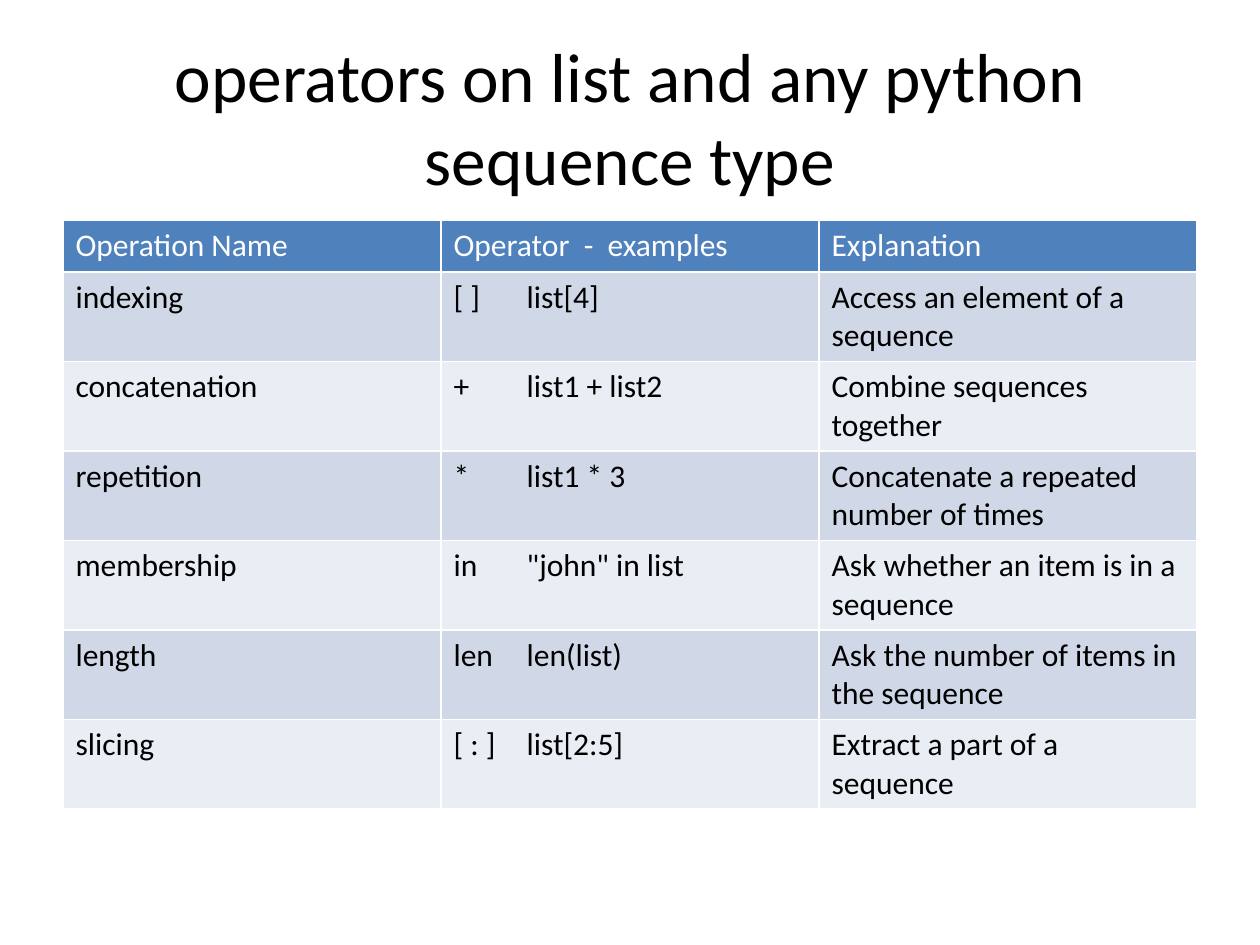
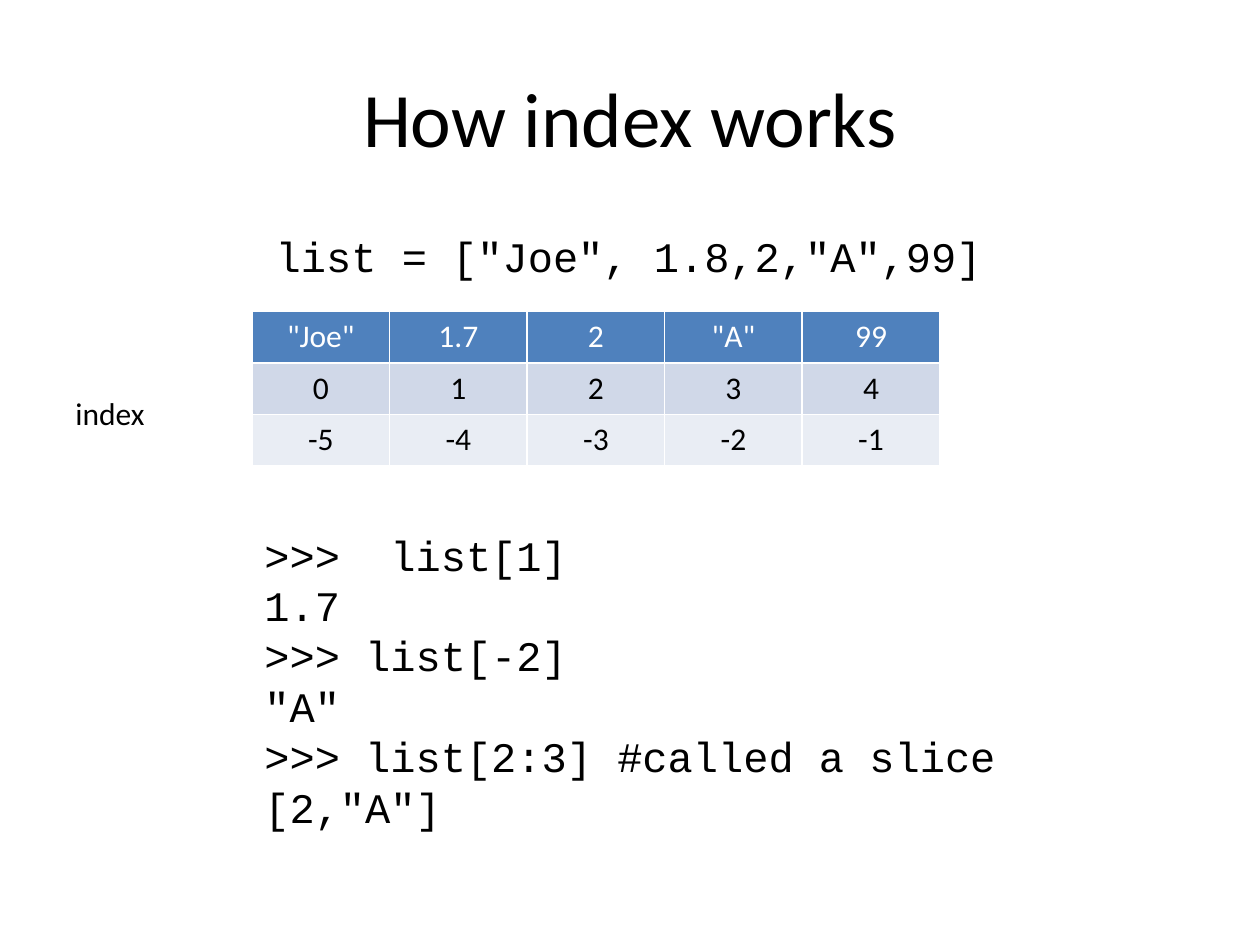
from pptx import Presentation
from pptx import util as u
from pptx.dml.color import RGBColor
from pptx.enum import text
from pptx.oxml import parse_xml
from pptx.oxml.ns import nsdecls

# Content
OPS_TITLE = "operators on list and any python sequence type"
OPS = [
    ("Operation Name", "Operator  -  examples", "Explanation"),
    ("indexing", "[ ]\tlist[4]", "Access an element of a sequence"),
    ("concatenation", "+\tlist1 + list2", "Combine sequences together"),
    ("repetition", "*\tlist1 * 3", "Concatenate a repeated number of times"),
    ("membership", "in\t\"john\" in list", "Ask whether an item is in a sequence"),
    ("length", "len\tlen(list)", "Ask the number of items in the sequence"),
    ("slicing", "[ : ]\tlist[2:5]", "Extract a part of a sequence"),
]

INDEX_TITLE = "How index works"
ITEMS = ['"Joe"', "1.7", "2", '"A"', "99"]
COUNT = len(ITEMS)
INDEX = [ITEMS, [str(i) for i in range(COUNT)],
         [str(i - COUNT) for i in range(COUNT)]]
SETUP = ['list = ["Joe", 1.8,2,"A",99]']
LABEL = ["index"]
SHELL = [">>>  list[1]", "1.7", ">>> list[-2]", '"A"',
         ">>> list[2:3] #called a slice", '[2,"A"]']


# Look of the deck
class Theme:
    ink, white = "000000", "FFFFFF"
    head, bands = "4F81BD", ("D0D8E8", "E9EDF4")
    title = {"name": "Calibri", "size": 44, "color": ink}
    long = {**title, "size": 39.6}
    body = {**title, "size": 18, "bold": False}
    top = {**body, "color": white}
    code = {"name": "Courier New", "size": 24, "color": ink}
    line, tall = 0.41, 0.71
    tab = 0.58


LEFT, CENTER = text.PP_ALIGN.LEFT, text.PP_ALIGN.CENTER


def style(para, fmt, align):
    para.alignment = align
    for key, val in fmt.items():
        if key == "color":
            para.font.color.rgb = RGBColor.from_string(val)
        else:
            setattr(para.font, key, u.Pt(val) if key == "size" else val)


def add_text(slide, lines, box, fmt, align=LEFT, **frame):
    tf = slide.shapes.add_textbox(*map(u.Inches, box)).text_frame
    for key, val in frame.items():
        setattr(tf, key, val)
    tf.text = "\n".join(lines)
    for para in tf.paragraphs:
        style(para, fmt, align)


def add_slide(deck, title, fmt):
    slide = deck.slides.add_slide(deck.slide_layouts[6])
    add_text(slide, [title], (0.5, 0.3, 9, 1.25), fmt, CENTER,
             word_wrap=True, vertical_anchor=text.MSO_ANCHOR.MIDDLE)
    return slide


def set_tab(para):
    # Line up the text after a tab
    stop = parse_xml(f'<a:tabLst {nsdecls("a")}>'
                     f'<a:tab pos="{u.Inches(Theme.tab)}" algn="l"/></a:tabLst>')
    para._p.get_or_add_pPr().append(stop)


def add_grid(slide, data, left, top, width, row, align=LEFT):
    high = Theme.line + row * (len(data) - 1)
    box = map(u.Inches, (left, top, width, high))
    grid = slide.shapes.add_table(len(data), len(data[0]), *box).table
    for r, vals in enumerate(data):
        grid.rows[r].height = u.Inches(row if r else Theme.line)
        fill = Theme.bands[(r - 1) % 2] if r else Theme.head
        for c, val in enumerate(vals):
            cell = grid.cell(r, c)
            cell.text = val
            cell.fill.solid()
            cell.fill.fore_color.rgb = RGBColor.from_string(fill)
            para = cell.text_frame.paragraphs[0]
            style(para, Theme.body if r else Theme.top, align)
            if "\t" in val:
                set_tab(para)


def main():
    deck = Presentation()
    deck.slide_width, deck.slide_height = u.Inches(10), u.Inches(7.5)

    # Operators
    slide = add_slide(deck, OPS_TITLE, Theme.long)
    add_grid(slide, OPS, 0.5, 1.75, 9, Theme.tall)

    # Index
    slide = add_slide(deck, INDEX_TITLE, Theme.title)
    add_grid(slide, INDEX, 2, 2.47, 5.46, Theme.line, CENTER)
    for lines, box, fmt in [
        (SETUP, (2.09, 1.78, 5.86, 0.5), Theme.code),
        (LABEL, (0.5, 3.08, 0.76, 0.71), Theme.body),
        (SHELL, (2, 4.15, 6.06, 2.52), Theme.code),
    ]:
        add_text(slide, lines, box, fmt, word_wrap=False)

    deck.save("out.pptx")


if __name__ == "__main__":
    main()
